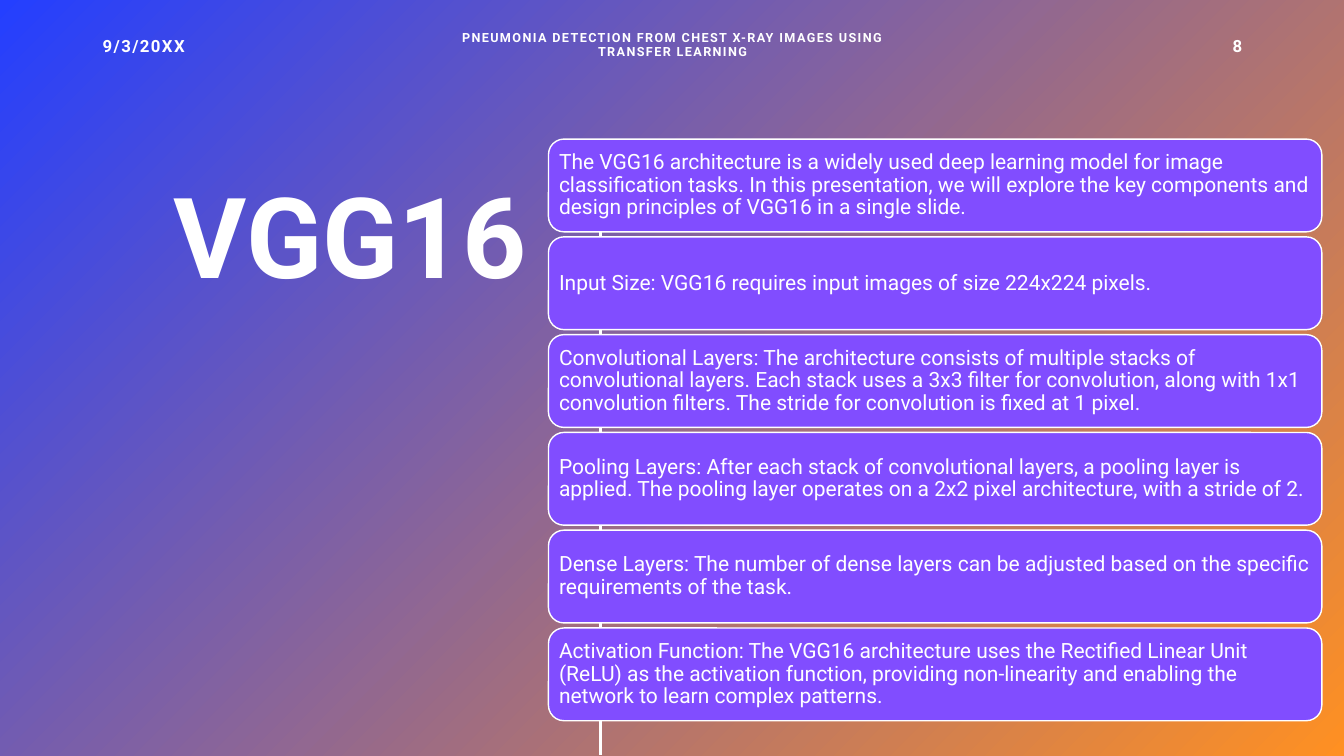
"""Build the VGG16 architecture slide."""
from lxml import etree
from pptx import Presentation
from pptx.dml.color import RGBColor
from pptx.enum.shapes import MSO_CONNECTOR, MSO_SHAPE
from pptx.enum.text import MSO_ANCHOR, PP_ALIGN
from pptx.oxml.ns import qn
from pptx.util import Inches, Pt

LEFT, CENTER, RIGHT = PP_ALIGN.LEFT, PP_ALIGN.CENTER, PP_ALIGN.RIGHT
TOP, MIDDLE = MSO_ANCHOR.TOP, MSO_ANCHOR.MIDDLE
RECTANGLE, ROUNDED = MSO_SHAPE.RECTANGLE, MSO_SHAPE.ROUNDED_RECTANGLE
STRAIGHT = MSO_CONNECTOR.STRAIGHT

FONT = "Roboto"
WHITE, BLUE, ORANGE, PURPLE = "FFFFFF", "243FFF", "FF9022", "814DFF"
SLIDE_W, SLIDE_H = 13.33, 7.5

TITLE = "VGG16"
HEADER = [
    ("9/3/20XX", 0.92, 3, LEFT, 12, 1),
    ("PNEUMONIA DETECTION FROM CHEST X-RAY IMAGES USING TRANSFER LEARNING",
     4.42, 4.5, CENTER, 9, 0.9),
    ("8", 9.42, 3, RIGHT, 12, 1),
]
COMPONENTS = [
    "The VGG16 architecture is a widely used deep learning model for image "
    "classification tasks. In this presentation, we will explore the key "
    "components and design principles of VGG16 in a single slide.",
    "Input Size: VGG16 requires input images of size 224x224 pixels.",
    "Convolutional Layers: The architecture consists of multiple stacks of "
    "convolutional layers. Each stack uses a 3x3 filter for convolution, along "
    "with 1x1 convolution filters. The stride for convolution is fixed at 1 pixel.",
    "Pooling Layers: After each stack of convolutional layers, a pooling layer is "
    "applied. The pooling layer operates on a 2x2 pixel architecture, with a "
    "stride of 2.",
    "Dense Layers: The number of dense layers can be adjusted based on the "
    "specific requirements of the task.",
    "Activation Function: The VGG16 architecture uses the Rectified Linear Unit "
    "(ReLU) as the activation function, providing non-linearity and enabling the "
    "network to learn complex patterns.",
]
CARD_LEFT, CARD_TOP, CARD_W, CARD_H, CARD_STEP = 5.44, 1.38, 7.67, 0.92, 0.97
CARD_INSET = 0.06
TIMELINE_X, TIMELINE_TOP, TIMELINE_BOTTOM = 5.96, 1.74, 7.49


def rgb(value):
    return RGBColor.from_string(value)


def box(left, top, width, height):
    return Inches(left), Inches(top), Inches(width), Inches(height)


def write(shape, text, size, align=LEFT, anchor=MIDDLE, bold=False,
          line_spacing=0.9, tracking=0):
    frame = shape.text_frame
    frame.word_wrap = True
    frame.vertical_anchor = anchor
    paragraph = frame.paragraphs[0]
    paragraph.alignment = align
    paragraph.line_spacing = line_spacing
    run = paragraph.add_run()
    run.text = text
    run.font.name = FONT
    run.font.size = Pt(size)
    run.font.bold = bold
    run.font.color.rgb = rgb(WHITE)
    if tracking:
        run._r.get_or_add_rPr().set("spc", str(tracking * 100))


def add_backdrop(shapes):
    backdrop = shapes.add_shape(RECTANGLE, *box(0, 0, SLIDE_W, SLIDE_H))
    backdrop.shadow.inherit = False
    backdrop.line.fill.background()
    backdrop.fill.gradient()
    backdrop.fill.gradient_angle = 315
    for stop, color in zip(backdrop.fill.gradient_stops, (BLUE, ORANGE)):
        stop.color.rgb = rgb(color)


def add_timeline(shapes):
    timeline = shapes.add_connector(
        STRAIGHT, Inches(TIMELINE_X), Inches(TIMELINE_TOP),
        Inches(TIMELINE_X), Inches(TIMELINE_BOTTOM))
    timeline.line.color.rgb = rgb(WHITE)
    timeline.line.width = Pt(2)
    etree.SubElement(timeline._element.spPr, qn("a:effectLst"))


def add_card(shapes, top, text):
    card = shapes.add_shape(ROUNDED, *box(CARD_LEFT, top, CARD_W, CARD_H))
    card.shadow.inherit = False
    card.fill.solid()
    card.fill.fore_color.rgb = rgb(PURPLE)
    card.line.color.rgb = rgb(WHITE)
    card.line.width = Pt(1)
    frame = card.text_frame
    frame.margin_left = frame.margin_right = Inches(CARD_INSET)
    frame.margin_top = frame.margin_bottom = Inches(CARD_INSET)
    write(card, text, 15)


def main():
    deck = Presentation()
    deck.slide_width, deck.slide_height = Inches(SLIDE_W), Inches(SLIDE_H)
    shapes = deck.slides.add_slide(deck.slide_layouts[6]).shapes

    add_backdrop(shapes)
    title = shapes.add_textbox(*box(0.5, 1.75, 4.83, 3.97))
    write(title, TITLE, 80, RIGHT, TOP, bold=True)
    for text, left, width, align, size, line_spacing in HEADER:
        header = shapes.add_textbox(*box(left, 0.25, width, 0.4))
        write(header, text, size, align, bold=True,
              line_spacing=line_spacing, tracking=1)
    add_timeline(shapes)
    for index, text in enumerate(COMPONENTS):
        add_card(shapes, CARD_TOP + index * CARD_STEP, text)

    deck.save("out.pptx")


if __name__ == "__main__":
    main()
